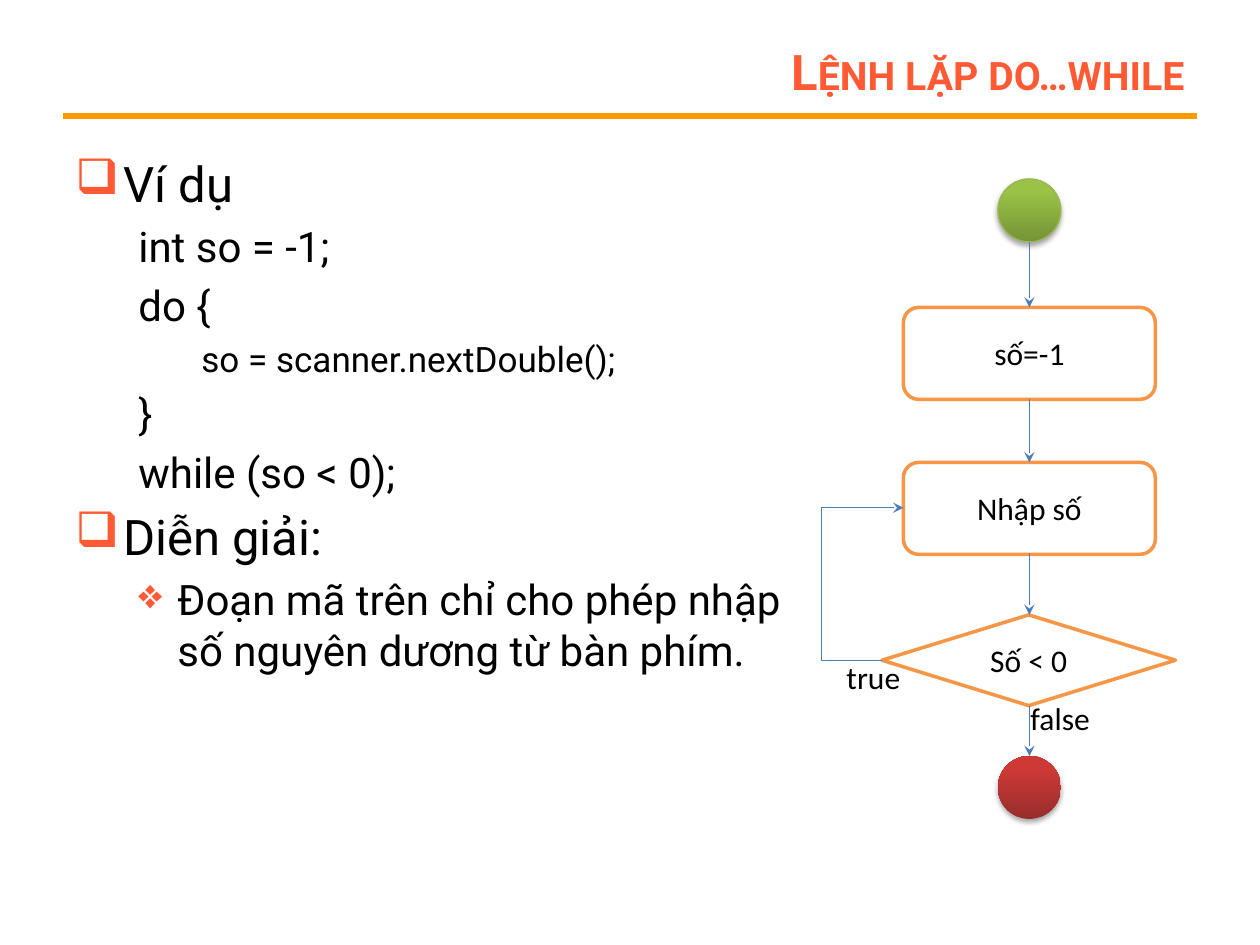
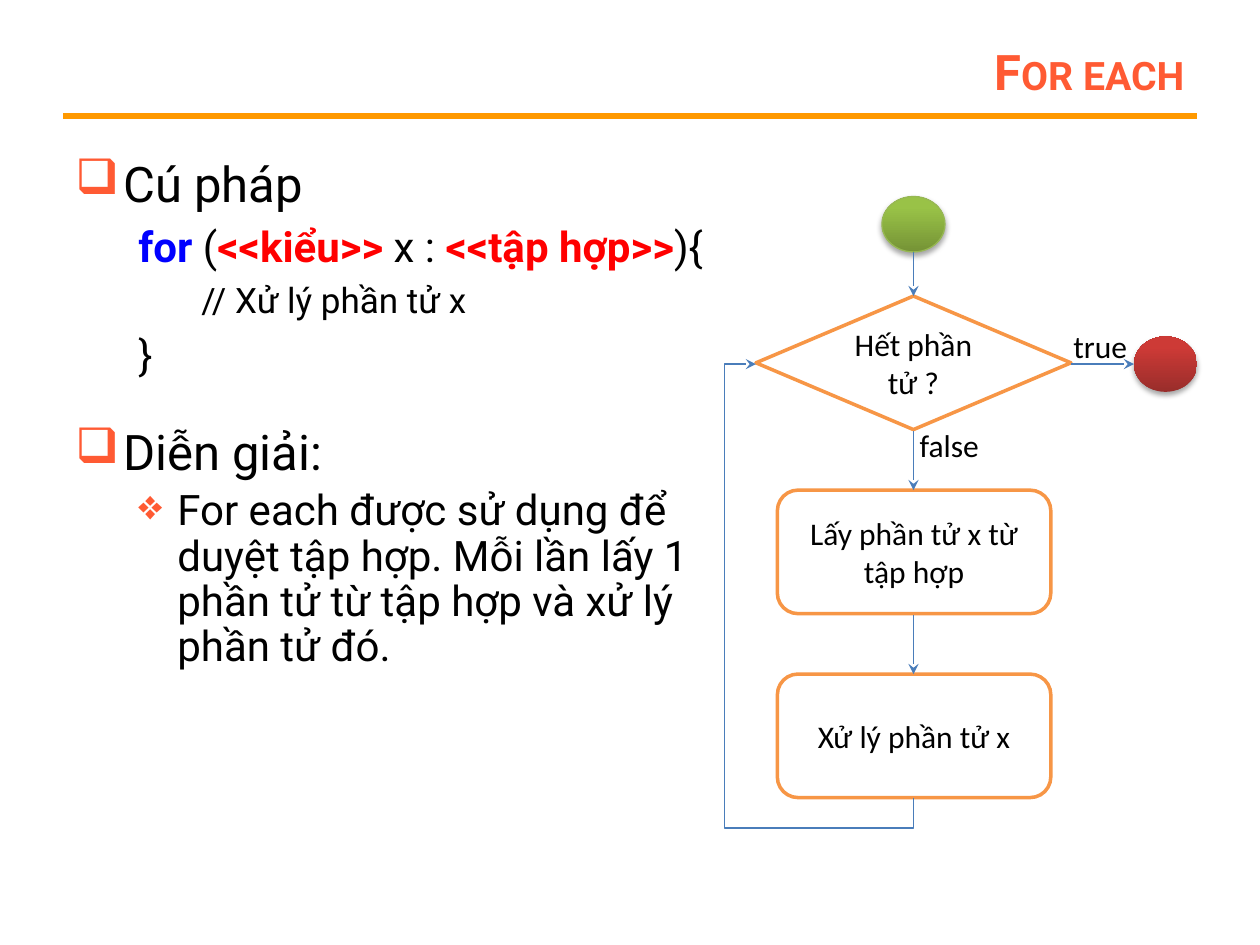
from lxml.etree import SubElement
from pptx import Presentation
from pptx.dml.color import RGBColor
from pptx.enum.shapes import MSO_CONNECTOR as Link, MSO_SHAPE as Shape
from pptx.enum.text import MSO_ANCHOR as Anchor, PP_ALIGN as Align
from pptx.oxml.ns import qn
from pptx.util import Inches, Pt

COLORS = {
    "white": "FFFFFF", "black": "000000", "title": "FF5A33", "rule": "FF9900",
    "border": "F79646", "arrow": "4A7DBA", "keyword": "0000FF", "slot": "FF0000",
    "start_dark": "759336", "start_light": "99C247", "start_line": "97B853",
    "end_dark": "992D2B", "end_light": "CD3A36",
}
LEVELS = {
    "topic": dict(level=0, size=28, left=0.38, indent=-0.38, before=5.6, bullet="❑"),
    "code": dict(level=1, size=24, left=0.5, indent=0, before=4.8, bullet=None),
    "inner": dict(level=2, size=20, left=1, indent=0, before=4, bullet=None),
    "note": dict(level=1, size=24, left=0.81, indent=-0.31, before=4.8, bullet="❖"),
}


def rgb(name):
    return RGBColor.from_string(COLORS[name])


class LessonDeck:
    """Lesson slides with a ruled title, outline text and a flowchart."""

    def __init__(self):
        self.deck = Presentation()
        self.deck.slide_width, self.deck.slide_height = Inches(10), Inches(7.5)
        self.page = None

    def new_page(self, title):
        self.page = self.deck.slides.add_slide(self.deck.slide_layouts[6])
        self.line((0.5, 0.92), (9.5, 0.92), "rule", 3, head=False)
        box = self.text_box(2.25, 0.3, 7.25, 0.53)
        box.text_frame.vertical_anchor = Anchor.MIDDLE
        para = box.text_frame.paragraphs[0]
        para.text = title
        para.alignment = Align.RIGHT
        span = para.runs[0]
        self.style(span, 28, "title", "Roboto", True)
        span.font._element.set("cap", "small")

    def text_box(self, left, top, width, height):
        box = self.page.shapes.add_textbox(*map(Inches, (left, top, width, height)))
        box.text_frame.word_wrap = True
        return box

    def style(self, span, size, color="black", font="Calibri", bold=False):
        span.font.size, span.font.name, span.font.bold = Pt(size), font, bold
        span.font.color.rgb = rgb(color)

    def outline(self, left, top, width, height, rows, spacing=1.0):
        frame = self.text_box(left, top, width, height).text_frame
        for index, (kind, content) in enumerate(rows):
            look = LEVELS[kind]
            para = frame.add_paragraph() if index else frame.paragraphs[0]
            para.level, para.line_spacing = look["level"], spacing
            para.space_before = Pt(look["before"] if index else 0)
            self.bullet(para, look)
            spans = [(content, "black")] if isinstance(content, str) else content
            for text, color in spans:
                span = para.add_run()
                span.text = text
                self.style(span, look["size"], color, "Roboto", color != "black")

    def bullet(self, para, look):
        props = para._p.get_or_add_pPr()
        props.set("marL", str(Inches(look["left"])))
        props.set("indent", str(Inches(look["indent"])))
        if look["bullet"]:
            color = SubElement(props, qn("a:buClr"))
            SubElement(color, qn("a:srgbClr"), val=COLORS["title"])
            SubElement(props, qn("a:buChar"), char=look["bullet"])
        else:
            SubElement(props, qn("a:buNone"))

    def step(self, kind, left, top, width, height, text):
        shape = self.page.shapes.add_shape(
            kind, *map(Inches, (left, top, width, height)))
        shape.shadow.inherit = False
        shape.fill.solid()
        shape.fill.fore_color.rgb = rgb("white")
        shape.line.color.rgb, shape.line.width = rgb("border"), Pt(2)
        frame = shape.text_frame
        frame.text = text
        frame.vertical_anchor = Anchor.MIDDLE
        frame.paragraphs[0].alignment = Align.CENTER
        self.style(frame.paragraphs[0].runs[0], 18)

    def terminal(self, role, left, top, height):
        ball = self.page.shapes.add_shape(
            Shape.OVAL, *map(Inches, (left, top, 0.5, height)))
        ball.fill.gradient()
        ball.fill.gradient_angle = 90
        dark, light = ball.fill.gradient_stops
        dark.color.rgb, dark.position = rgb(f"{role}_dark"), 0
        light.color.rgb, light.position = rgb(f"{role}_light"), 0.8
        if role == "start":
            ball.line.color.rgb, ball.line.width = rgb("start_line"), Pt(0.75)
        else:
            ball.line.fill.background()
        ball.shadow.inherit = False
        effects = ball.element.spPr.find(qn("a:effectLst"))
        shadow = SubElement(effects, qn("a:outerShdw"), blurRad=str(Pt(3.1)),
                            dist=str(Pt(1.8)), dir="5400000", rotWithShape="0")
        color = SubElement(shadow, qn("a:srgbClr"), val=COLORS["black"])
        SubElement(color, qn("a:alpha"), val="35000")

    def label(self, left, top, width, text):
        frame = self.text_box(left, top, width, 0.4).text_frame
        frame.word_wrap = False
        frame.text = text
        self.style(frame.paragraphs[0].runs[0], 18)

    def line(self, begin, end, color="arrow", width=0.75, head=True,
             kind=Link.STRAIGHT):
        link = self.page.shapes.add_connector(kind, *map(Inches, (*begin, *end)))
        link.line.color.rgb, link.line.width = rgb(color), Pt(width)
        if head:
            SubElement(link.line._get_or_add_ln(), qn("a:tailEnd"), type="stealth")
        SubElement(link.element.spPr, qn("a:effectLst"))
        return link

    def loop(self, begin, end, bends, turned=False):
        if turned:
            (x1, y1), (x2, y2) = begin, end
            mid_x, mid_y = (x1 + x2) / 2, (y1 + y2) / 2
            half_x, half_y = (y1 - y2) / 2, (x1 - x2) / 2
            begin = mid_x + half_x, mid_y - half_y
            end = mid_x - half_x, mid_y + half_y
        props = self.line(begin, end, kind=Link.ELBOW).element.spPr
        if turned:
            props.find(qn("a:xfrm")).set("rot", "5400000")
        geometry = props.find(qn("a:prstGeom"))
        geometry.set("prst", f"bentConnector{len(bends) + 2}")
        guides = geometry.find(qn("a:avLst"))
        if guides is None:
            guides = SubElement(geometry, qn("a:avLst"))
        for number, bend in enumerate(bends, 1):
            SubElement(guides, qn("a:gd"), name=f"adj{number}",
                       fmla=f"val {round(bend * 100000)}")


def do_while_page(lesson):
    lesson.new_page("Lệnh lặp do…while")
    lesson.outline(0.5, 1.17, 6.17, 5.75, [
        ("topic", "Ví dụ"),
        ("code", "int so = -1;"),
        ("code", "do {"),
        ("inner", "so = scanner.nextDouble();"),
        ("code", "}"),
        ("code", "while (so < 0);"),
        ("topic", "Diễn giải:"),
        ("note", "Đoạn mã trên chỉ cho phép nhập số nguyên dương từ bàn phím."),
    ])
    lesson.terminal("start", 7.92, 1.42, 0.5)
    lesson.terminal("end", 7.92, 6, 0.5)
    lesson.step(Shape.ROUNDED_RECTANGLE, 7.17, 2.44, 2, 0.73, "số=-1")
    lesson.step(Shape.ROUNDED_RECTANGLE, 7.17, 3.67, 2, 0.73, "Nhập số")
    lesson.step(Shape.FLOWCHART_DECISION, 7, 4.88, 2.33, 0.72, "Số < 0")
    for top, bottom in ((1.92, 2.44), (3.17, 3.67), (4.39, 4.88), (5.6, 6)):
        lesson.line((8.17, top), (8.17, bottom))
    lesson.loop((7, 5.24), (7.17, 4.03), [-2.83])
    lesson.label(6.62, 5.17, 0.63, "true")
    lesson.label(8.08, 5.5, 0.68, "false")


def for_each_page(lesson):
    lesson.new_page("For each")
    lesson.outline(0.5, 1.17, 6, 2.17, [
        ("topic", "Cú pháp"),
        ("code", [("for ", "keyword"), ("(", "black"), ("<<kiểu>>", "slot"),
                  (" x : ", "black"), ("<<tập hợp>>", "slot"), ("){", "black")]),
        ("inner", "// Xử lý phần tử x"),
        ("code", "}"),
    ])
    lesson.outline(0.5, 3.35, 5.17, 2.17, [
        ("topic", "Diễn giải:"),
        ("note", "For each được sử dụng để duyệt tập hợp. Mỗi lần lấy 1 phần tử "
                 "từ tập hợp và xử lý phần tử đó."),
    ], spacing=0.9)
    lesson.terminal("start", 7, 1.56, 0.44)
    lesson.terminal("end", 9, 2.67, 0.44)
    lesson.step(Shape.FLOWCHART_DECISION, 6, 2.35, 2.5, 1.06, "Hết phần tử ?")
    for top, text in ((3.89, "Lấy phần tử x từ tập hợp"), (5.35, "Xử lý phần tử x")):
        lesson.step(Shape.ROUNDED_RECTANGLE, 6.17, top, 2.17, 0.98, text)
    for top, bottom in ((2, 2.35), (3.42, 3.89), (4.88, 5.35)):
        lesson.line((7.25, top), (7.25, bottom))
    lesson.line((8.5, 2.89), (9, 2.89))
    lesson.loop((7.25, 6.33), (6, 2.89), [-0.07, 1.2], turned=True)
    lesson.label(7.2, 3.33, 0.68, "false")
    lesson.label(8.42, 2.55, 0.63, "true")


def main():
    lesson = LessonDeck()
    do_while_page(lesson)
    for_each_page(lesson)
    lesson.deck.save("out.pptx")


if __name__ == "__main__":
    main()
